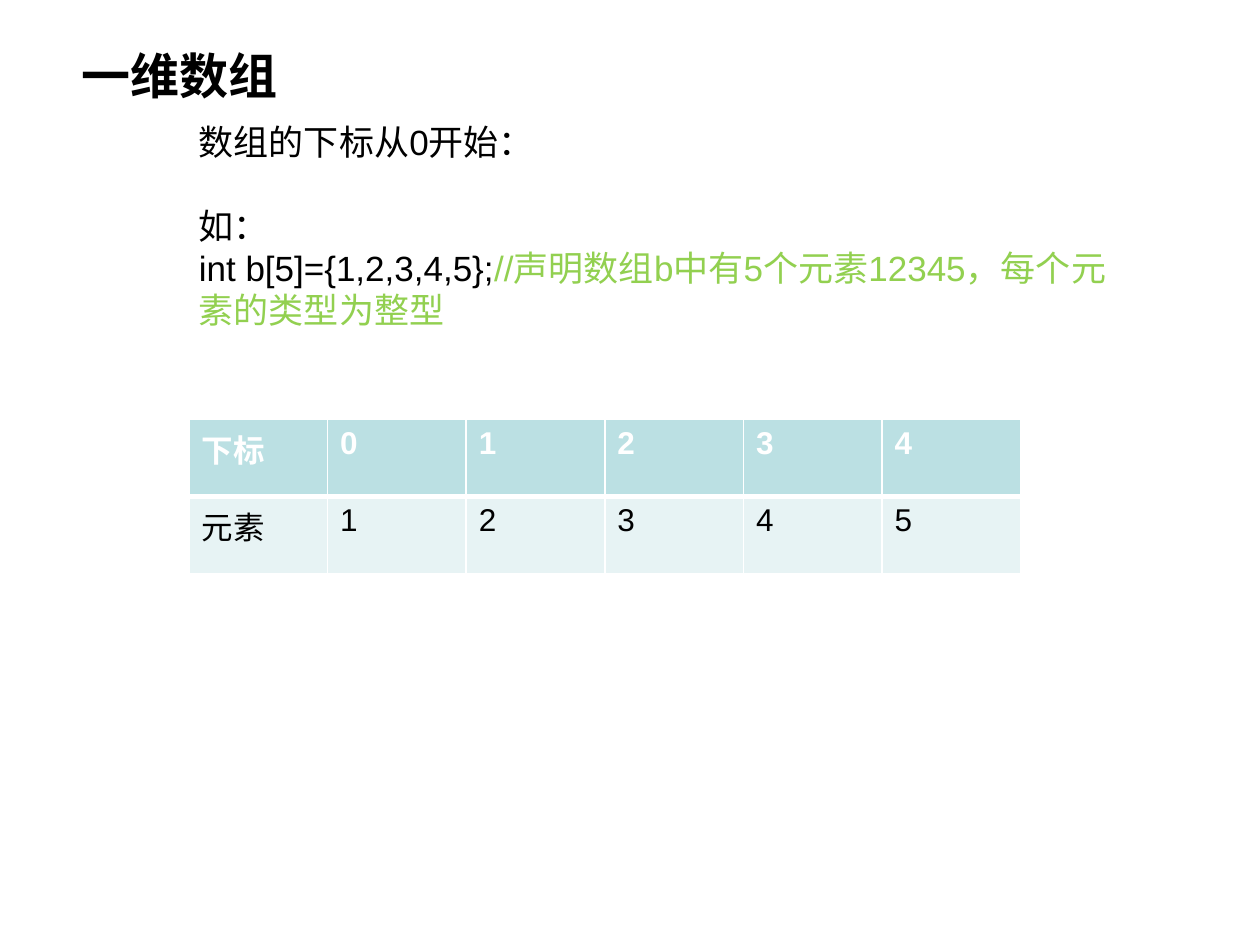
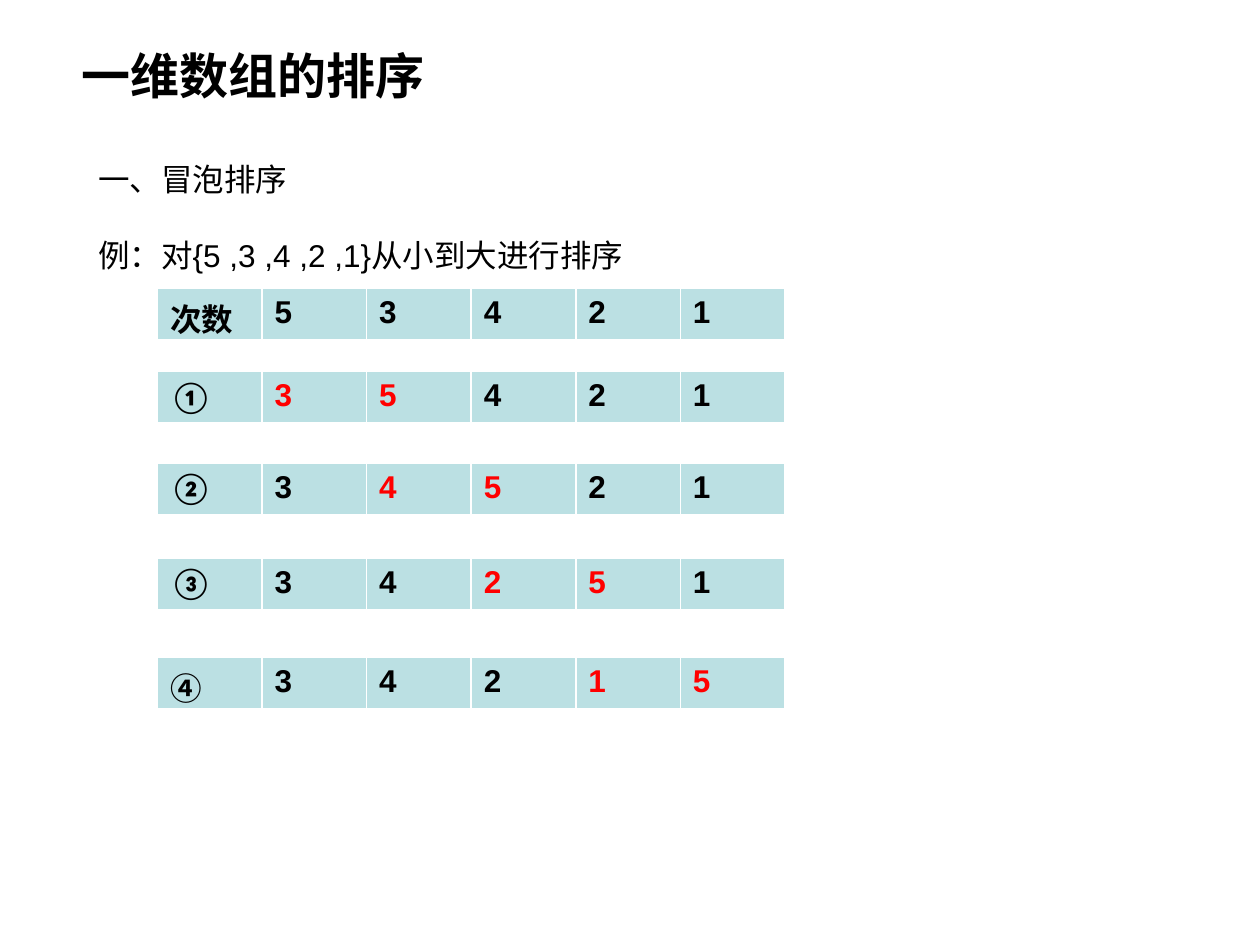
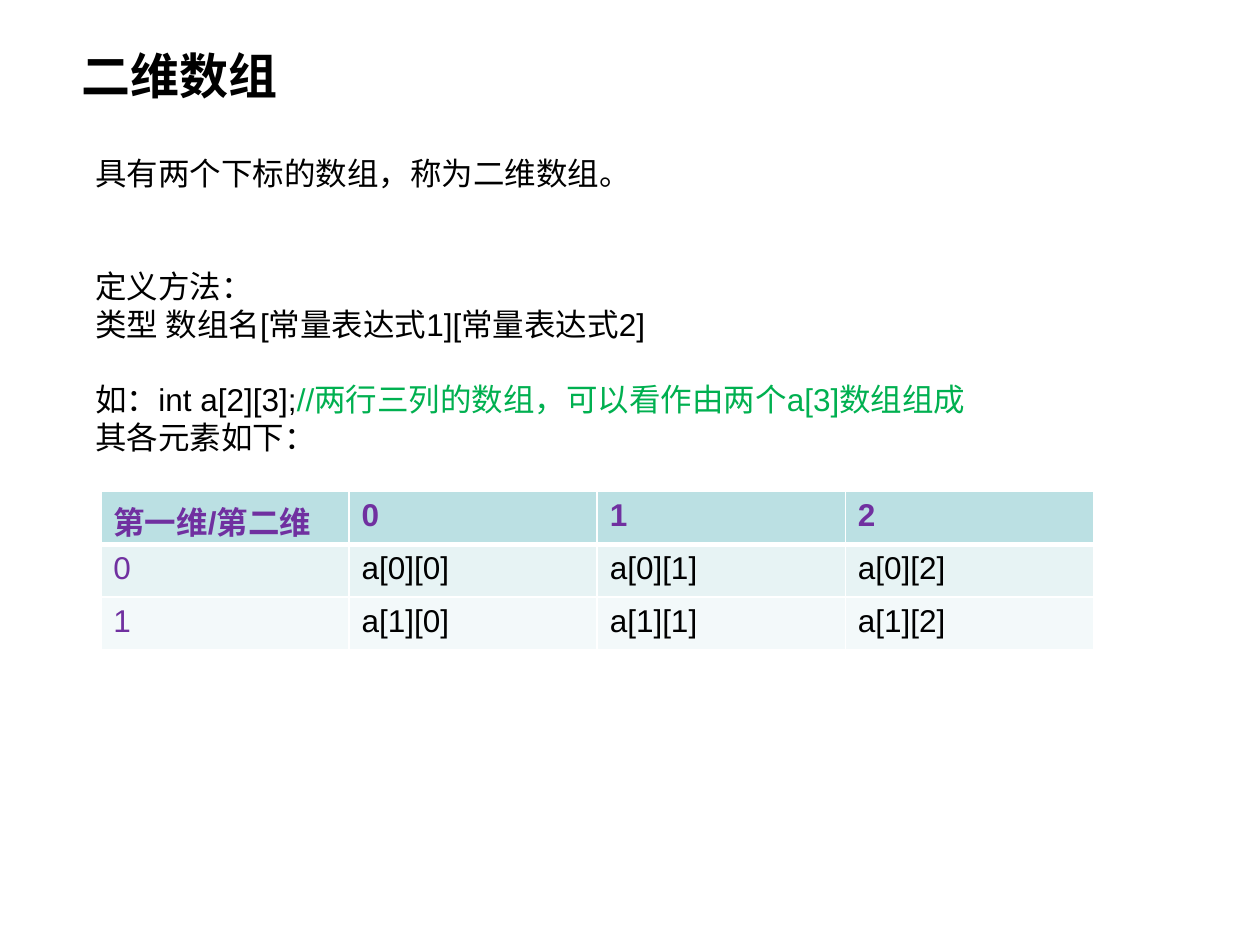
from dataclasses import dataclass

from lxml.etree import SubElement as Sub
from pptx import Presentation
from pptx.dml.color import RGBColor as RGB
from pptx.oxml.ns import qn
from pptx.util import Inches, Pt


@dataclass(frozen=True)
class Theme:
    """Colours, fonts and type sizes of the deck."""
    black: str = "000000"
    white: str = "FFFFFF"
    red: str = "FF0000"
    lime: str = "92D050"
    green: str = "00B050"
    purple: str = "7030A0"
    bands: tuple = ("BBE0E3", "E7F3F4", "F3F9FA")
    font: str = "Arial"
    title: int = 28
    lead: int = 20
    body: int = 18
    pitch: float = 1.2


T = Theme()


def add_text(slide, box, lines, size, bold=False):
    """Add a text box; a line is (blank lines before it, (text, colour), ...)."""
    frame = slide.shapes.add_textbox(*map(Inches, box)).text_frame
    frame.word_wrap = True
    for i, (gap, *runs) in enumerate(lines):
        para = frame.paragraphs[0] if i == 0 else frame.add_paragraph()
        para.font.size = Pt(size)
        para.font.name = T.font
        para.font.bold = bold
        para.line_spacing = Pt(size * T.pitch)
        para.space_before = Pt(gap * size * T.pitch)
        for text, ink in runs:
            run = para.add_run()
            run.text = text
            run.font.color.rgb = RGB.from_string(ink)


def add_grid(slide, left, top, col, row, rows, head):
    """Add a table with a bold header row in the head colour; return it."""
    count = len(rows[0])
    table = slide.shapes.add_table(
        len(rows), count, Inches(left), Inches(top),
        Inches(col * count), Inches(row * len(rows))).table
    for r, texts in enumerate(rows):
        for c, text in enumerate(texts):
            cell = table.cell(r, c)
            props = cell._tc.get_or_add_tcPr()
            wide = {"lnT": 3 if r == 1 else 1, "lnB": 3 if r == 0 else 1}
            for side in ("lnL", "lnR", "lnT", "lnB"):
                line = Sub(props, qn("a:" + side), w=str(Pt(wide.get(side, 1))))
                Sub(Sub(line, qn("a:solidFill")), qn("a:srgbClr"), val=T.white)
            cell.fill.solid()
            cell.fill.fore_color.rgb = RGB.from_string(T.bands[r])
            cell.text = text
            font = cell.text_frame.paragraphs[0].font
            font.size = Pt(T.body)
            font.name = T.font
            font.bold = r == 0
            font.color.rgb = RGB.from_string(T.black if r else head)
    return table


deck = Presentation()
deck.slide_width, deck.slide_height = Inches(10), Inches(7.5)
slides = []
for title, width in (("一维数组", 2.72), ("一维数组的排序", 4.13), ("二维数组", 2.72)):
    slide = deck.slides.add_slide(deck.slide_layouts[6])
    add_text(slide, (0.55, 0.31, width, 0.57), [(0, (title, T.black))], T.title, True)
    slides.append(slide)
array, sort, matrix = slides

# One-dimensional array
add_text(array, (1.48, 0.91, 7.56, 2.19), [
    (0, ("数组的下标从0开始：", T.black)),
    (1, ("如：", T.black)),
    (0, ("int b[5]={1,2,3,4,5};", T.black),
     ("//声明数组b中有5个元素12345，每个元素的类型为整型", T.lime)),
], T.lead)
add_grid(array, 1.5, 3.33, 1.1, 0.61, [
    ["下标", *map(str, range(5))],
    ["元素", *map(str, range(1, 6))],
], T.white)

# Bubble sort: each pass swaps one pair, shown in red
add_text(sort, (0.68, 1.22, 6.29, 1.01), [
    (0, ("一、冒泡排序", T.black)),
    (1, ("例：对{5 ,3 ,4 ,2 ,1}从小到大进行排序", T.black)),
], T.body)
nums = list("53421")
tops = (2.29, 2.95, 3.68, 4.43, 5.22)
marks = ("次数", "①", "②", "③", "④")
for step, (top, mark) in enumerate(zip(tops, marks)):
    if step:
        nums[step - 1], nums[step] = nums[step], nums[step - 1]
    table = add_grid(sort, 1.25, top, 0.83, 0.42, [[mark, *nums]], T.black)
    label = table.cell(0, 0).text_frame.paragraphs[0].font
    label.name = "Noto Sans CJK SC" if mark == "④" else "Calibri"
    for c in (step, step + 1) if step else ():
        font = table.cell(0, c).text_frame.paragraphs[0].font
        font.color.rgb = RGB.from_string(T.red)

# Two-dimensional array
add_text(matrix, (0.66, 1.17, 7.5, 2.52), [
    (0, ("具有两个下标的数组，称为二维数组。", T.black)),
    (2, ("定义方法：", T.black)),
    (0, ("类型 数组名[常量表达式1][常量表达式2]", T.black)),
    (1, ("如：int a[2][3];", T.black),
     ("//两行三列的数组，可以看作由两个a[3]数组组成", T.green)),
    (0, ("其各元素如下：", T.black)),
], T.body)
rows = [["第一维/第二维", "0", "1", "2"]]
rows += [[str(r), *(f"a[{r}][{c}]" for c in range(3))] for r in range(2)]
table = add_grid(matrix, 0.8, 3.9, 1.97, 0.42, rows, T.purple)
for r in (1, 2):
    font = table.cell(r, 0).text_frame.paragraphs[0].font
    font.color.rgb = RGB.from_string(T.purple)

deck.save("out.pptx")
